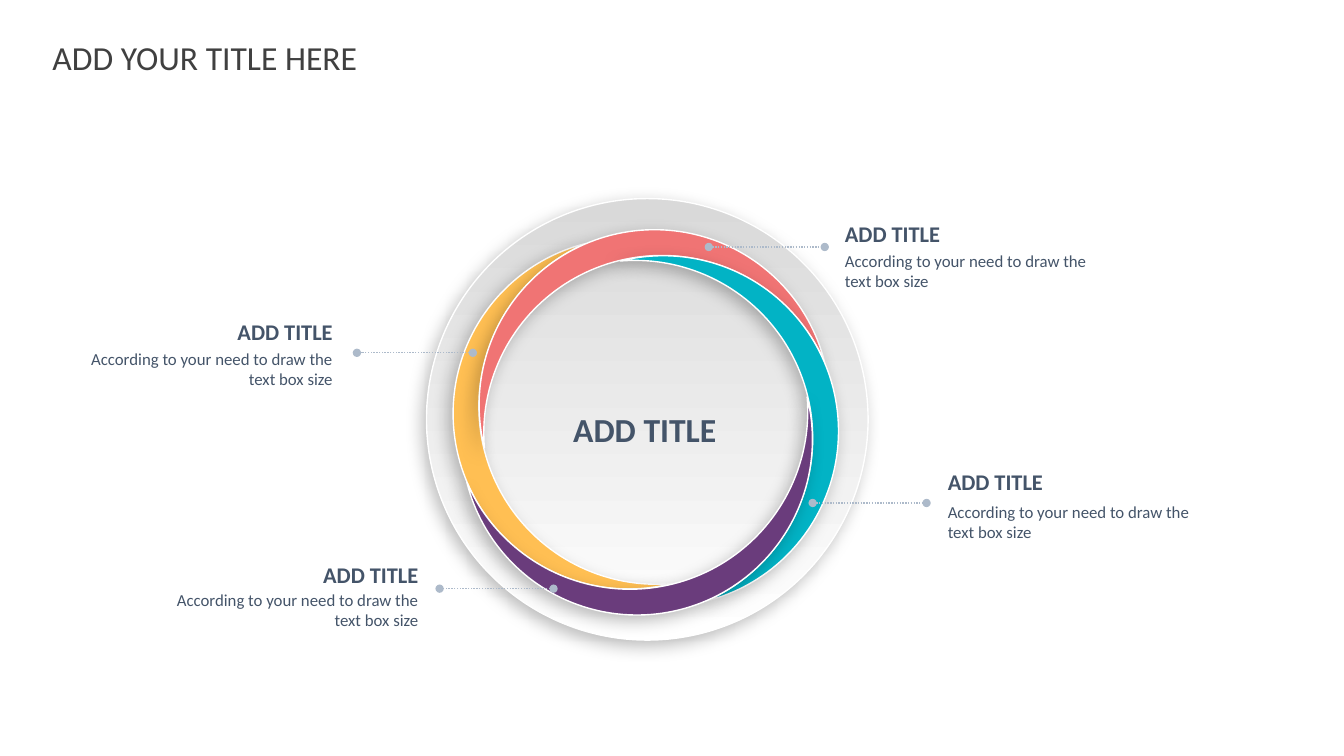
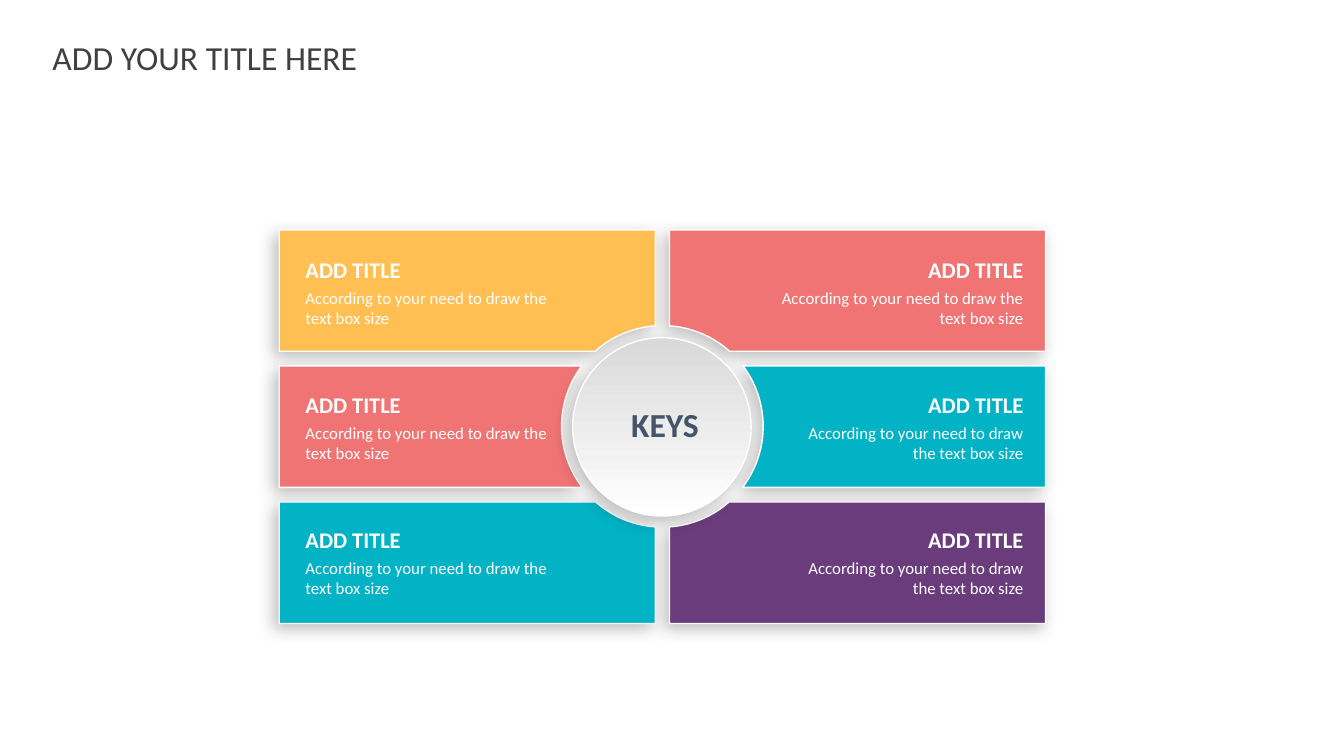
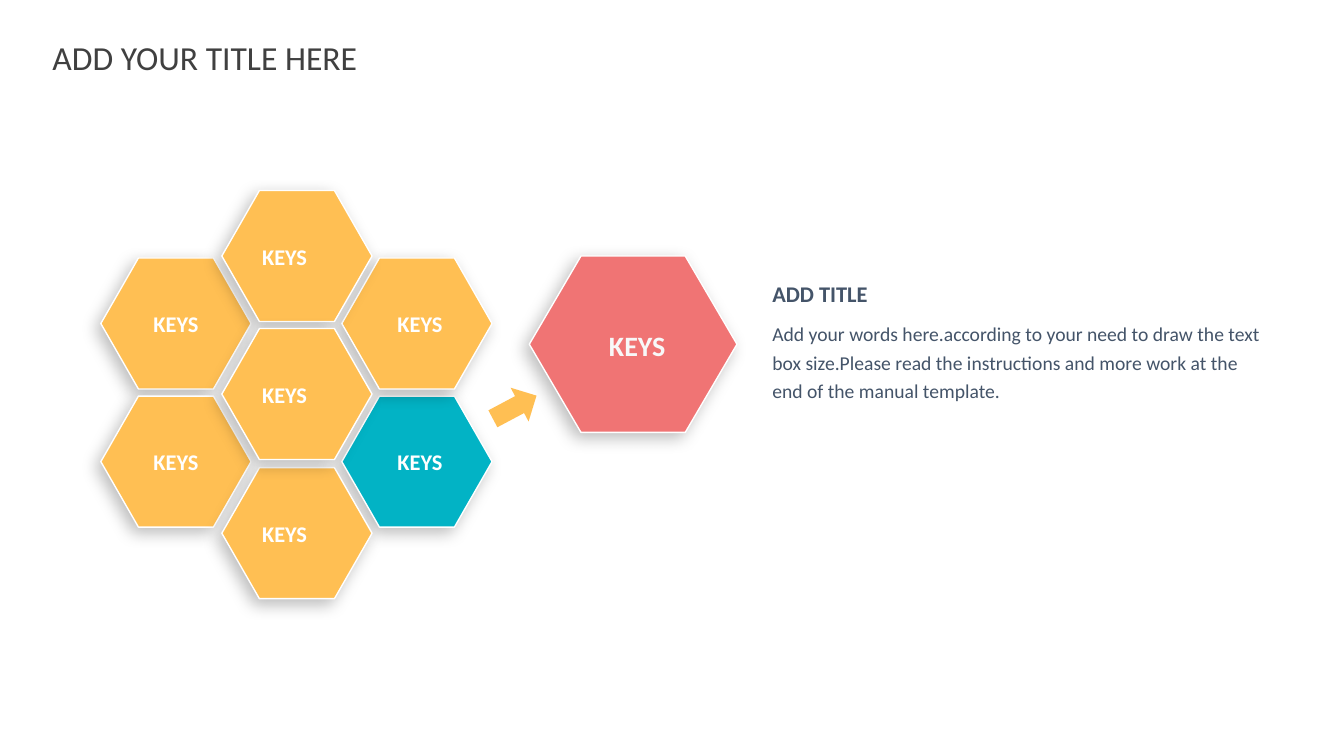
from dataclasses import dataclass
from math import acos, asin, cos, sin

from lxml import etree
from pptx import Presentation
from pptx.dml.color import RGBColor
from pptx.enum.dml import MSO_LINE
from pptx.enum.shapes import MSO_CONNECTOR, MSO_SHAPE
from pptx.enum.text import MSO_ANCHOR, MSO_AUTO_SIZE, PP_ALIGN
from pptx.oxml.ns import qn
from pptx.util import Emu, Pt

LEFT, CENTER, RIGHT = PP_ALIGN.LEFT, PP_ALIGN.CENTER, PP_ALIGN.RIGHT
TOP, MIDDLE = MSO_ANCHOR.TOP, MSO_ANCHOR.MIDDLE
ELLIPSE, MOON = MSO_SHAPE.OVAL, MSO_SHAPE.MOON
HEXAGON, ARROW = MSO_SHAPE.HEXAGON, MSO_SHAPE.RIGHT_ARROW
STRAIGHT = MSO_CONNECTOR.STRAIGHT
DOTTED = MSO_LINE.ROUND_DOT
EMU_PER_PX = 9144
TITLE_ONLY = 5
BODY = "According to your need to draw the text box size"


@dataclass(frozen=True)
class Theme:
    """Colours and type sizes of the whole presentation."""

    font: str = "Calibri"
    title: RGBColor = RGBColor(0x40, 0x40, 0x40)
    ink: RGBColor = RGBColor(0x44, 0x54, 0x69)
    leader: RGBColor = RGBColor(0xAD, 0xBA, 0xCA)
    white: RGBColor = RGBColor(0xFF, 0xFF, 0xFF)
    off_white: RGBColor = RGBColor(0xF8, 0xF8, 0xF8)
    grey: RGBColor = RGBColor(0xD9, 0xD9, 0xD9)
    yellow: RGBColor = RGBColor(0xFF, 0xBF, 0x53)
    red: RGBColor = RGBColor(0xF0, 0x74, 0x74)
    teal: RGBColor = RGBColor(0x02, 0xB3, 0xC5)
    purple: RGBColor = RGBColor(0x6A, 0x3C, 0x7C)
    title_size: Pt = Pt(24)
    large_size: Pt = Pt(20)
    heading_size: Pt = Pt(16)
    text_size: Pt = Pt(14)
    body_size: Pt = Pt(12)


THEME = Theme()


def px(value):
    """Turn px into EMU."""
    return Emu(round(value * EMU_PER_PX))


def write_text(shape, text, size, color, align=LEFT, bold=False, anchor=TOP):
    """Write one formatted paragraph into a shape."""
    frame = shape.text_frame
    frame.word_wrap = True
    frame.auto_size = MSO_AUTO_SIZE.NONE
    frame.vertical_anchor = anchor
    paragraph = frame.paragraphs[0]
    paragraph.text = text
    paragraph.alignment = align
    font = paragraph.font
    font.name, font.size, font.bold = THEME.font, size, bold
    font.color.rgb = color
    return paragraph


def add_text(slide, box, text, size, color, **options):
    """Add a text box without insets."""
    shape = slide.shapes.add_textbox(*map(px, box))
    frame = shape.text_frame
    frame.margin_left = frame.margin_right = 0
    frame.margin_top = frame.margin_bottom = 0
    return write_text(shape, text, size, color, **options)


def add_titled_slide(presentation):
    """Add a slide with the shared title."""
    slide = presentation.slides.add_slide(presentation.slide_layouts[TITLE_ONLY])
    title = slide.shapes.title
    title.left, title.top, title.width, title.height = map(px, (42, 32, 465, 51))
    write_text(title, "ADD YOUR TITLE HERE", THEME.title_size, THEME.title)
    return slide


def raise_shape(shape):
    """Give a shape a white outline and a soft shadow."""
    shape.line.color.rgb = THEME.white
    shape.line.width = Pt(1)
    shape.shadow.inherit = False
    effects = shape.element.spPr.find(qn("a:effectLst"))
    shadow = etree.SubElement(
        effects, qn("a:outerShdw"), blurRad=str(Pt(12)), dist=str(Pt(5)),
        dir=str(135 * 60000), algn="tr", rotWithShape="0")
    color = etree.SubElement(shadow, qn("a:srgbClr"), val="000000")
    etree.SubElement(color, qn("a:alpha"), val="26000")


def add_raised(slide, kind, box, color, adjustment=None, rotation=0):
    """Add a raised preset shape in one colour."""
    shape = slide.shapes.add_shape(kind, *map(px, box))
    shape.rotation = rotation
    if adjustment is not None:
        shape.adjustments[0] = adjustment
    shape.fill.solid()
    shape.fill.fore_color.rgb = color
    raise_shape(shape)
    return shape


def add_disc(slide, left, top, diameter):
    """Add a raised disc shaded from grey down to white."""
    disc = add_raised(slide, ELLIPSE, (left, top, diameter, diameter), THEME.white)
    disc.fill.gradient()
    disc.fill.gradient_angle = 90
    for stop, color in zip(disc.fill.gradient_stops, (THEME.white, THEME.grey)):
        stop.color.rgb = color


def add_leader(slide, start, end, y):
    """Add a dotted horizontal line with round ends."""
    leader = slide.shapes.add_connector(STRAIGHT, px(start), px(y), px(end), px(y))
    leader.line.color.rgb = THEME.leader
    leader.line.width = Pt(1)
    leader.line.dash_style = DOTTED
    properties = leader.element.spPr
    outline = properties.find(qn("a:ln"))
    for end_tag in ("a:headEnd", "a:tailEnd"):
        etree.SubElement(outline, qn(end_tag), type="oval")
    etree.SubElement(properties, qn("a:effectLst"))


def add_callout(slide, edge, heading_top, body_top, color, align=LEFT, width=255):
    """Add a heading and a body aligned to one edge."""
    left = edge - width if align == RIGHT else edge
    add_text(slide, (left, heading_top, width, 27), "ADD TITLE",
             THEME.heading_size, color, align=align, bold=True)
    add_text(slide, (left, body_top, width, 40), BODY,
             THEME.body_size, color, align=align)


def add_notched_panel(slide, center, side, top, height, color):
    """Add a panel on one side of a circle that bites into it."""
    center_x, center_y = center
    radius, half_gap, reach, steps = 100, 7, 380, 24
    bottom = top + height
    inner, outer = center_x + side * half_gap, center_x + side * reach
    limit = acos(half_gap / radius)

    def notch_angle(y):
        """Find where a horizontal edge meets the notch."""
        ratio = max(-1, min(1, (y - center_y) / radius))
        return max(-limit, min(limit, asin(ratio)))

    first, last = notch_angle(top), notch_angle(bottom)
    angles = [first + (last - first) * step / steps for step in range(steps + 1)]
    arc = [(center_x + side * radius * cos(angle), center_y + radius * sin(angle))
           for angle in angles]
    above = [(inner, top)] if first == -limit else []
    below = [(inner, bottom)] if last == limit else []
    outline = [(outer, top), *above, *arc, *below, (outer, bottom)]
    points = [(px(x), px(y)) for x, y in outline]
    builder = slide.shapes.build_freeform(*points[0], scale=1.0)
    builder.add_line_segments(points[1:], close=True)
    panel = builder.convert_to_shape()
    panel.fill.solid()
    panel.fill.fore_color.rgb = color
    raise_shape(panel)


def build_ring(presentation):
    """Build the ring of four crescents with callouts."""
    slide = add_titled_slide(presentation)
    add_disc(slide, 423, 197, 438)
    width, height = 174, 348
    offset_x, offset_y = -101.5, 12.5
    colors = (THEME.yellow, THEME.red, THEME.teal, THEME.purple)
    for turn, color in enumerate(colors):
        box = (640.5 + offset_x - width / 2, 419 + offset_y - height / 2, width, height)
        add_raised(slide, MOON, box, color, 0.152, (345.9 + 90 * turn) % 360)
        offset_x, offset_y = -offset_y, offset_x
    add_text(slide, (524, 406, 231, 41), "ADD TITLE", THEME.title_size,
             THEME.ink, align=CENTER, bold=True)
    callouts = (
        (330, 316, 346, RIGHT, 469, 354, 350),
        (838, 218, 249, LEFT, 703, 818, 245),
        (415, 557, 585, RIGHT, 549, 436, 584),
        (940, 464, 498, LEFT, 806, 919, 499),
    )
    for edge, heading_top, body_top, align, start, end, y in callouts:
        add_leader(slide, start, end, y)
        add_callout(slide, edge, heading_top, body_top, THEME.ink, align)


def build_panels(presentation):
    """Build six panels around a central disc."""
    slide = add_titled_slide(presentation)
    rows = ((THEME.yellow, THEME.red, 255), (THEME.red, THEME.teal, 238),
            (THEME.teal, THEME.purple, 238))
    for row, (left_color, right_color, _) in enumerate(rows):
        for side, color in ((-1, left_color), (1, right_color)):
            add_notched_panel(slide, (657, 423), side, 228 + 135 * row, 120.5, color)
    add_disc(slide, 568, 335, 177)
    for row, (_, _, right_width) in enumerate(rows):
        heading_top = 254 + 134 * row
        add_callout(slide, 303, heading_top, heading_top + 31, THEME.white)
        add_callout(slide, 1015, heading_top, heading_top + 31, THEME.white,
                    RIGHT, right_width)
    add_text(slide, (600, 401, 119, 40), "KEYS", THEME.title_size, THEME.ink,
             align=CENTER, bold=True)


def build_honeycomb(presentation):
    """Build the honeycomb that points to one large cell."""
    slide = add_titled_slide(presentation)
    add_raised(slide, HEXAGON, (525, 254, 206, 175), THEME.red, 0.293)
    add_text(slide, (549, 326, 166, 34), "KEYS", THEME.large_size, THEME.off_white,
             align=CENTER, bold=True, anchor=MIDDLE)
    columns = ((339, (393, 256), 370, CENTER), (100, (256, 393), 128, CENTER),
               (220, (189, 464, 326), 260, LEFT))
    for left, tops, _, _ in columns:
        for top in tops:
            color = THEME.teal if (left, top) == (339, 393) else THEME.yellow
            add_raised(slide, HEXAGON, (left, top, 149, 130), color, 0.287)
    for _, tops, label_left, align in columns:
        for top in tops:
            add_text(slide, (label_left, top + 52, 93, 27), "KEYS",
                     THEME.heading_size, THEME.white, align=align, bold=True)
    add_text(slide, (766, 278, 301, 27), "ADD TITLE", THEME.heading_size,
             THEME.ink, bold=True)
    paragraph = add_text(
        slide, (766, 315, 495, 85),
        "Add your words here.according to your need to draw the text box size."
        "Please read the instructions and more work at the end of the manual template.",
        THEME.text_size, THEME.ink)
    paragraph.line_spacing = 1.2
    arrow = slide.shapes.add_shape(ARROW, *map(px, (486, 385, 49, 38)))
    arrow.rotation = 332
    arrow.shadow.inherit = False
    arrow.fill.solid()
    arrow.fill.fore_color.rgb = THEME.yellow
    arrow.line.fill.background()


def main():
    """Build and save the presentation."""
    presentation = Presentation()
    presentation.slide_width, presentation.slide_height = px(1333), px(750)
    build_ring(presentation)
    build_panels(presentation)
    build_honeycomb(presentation)
    presentation.save("out.pptx")


if __name__ == "__main__":
    main()
